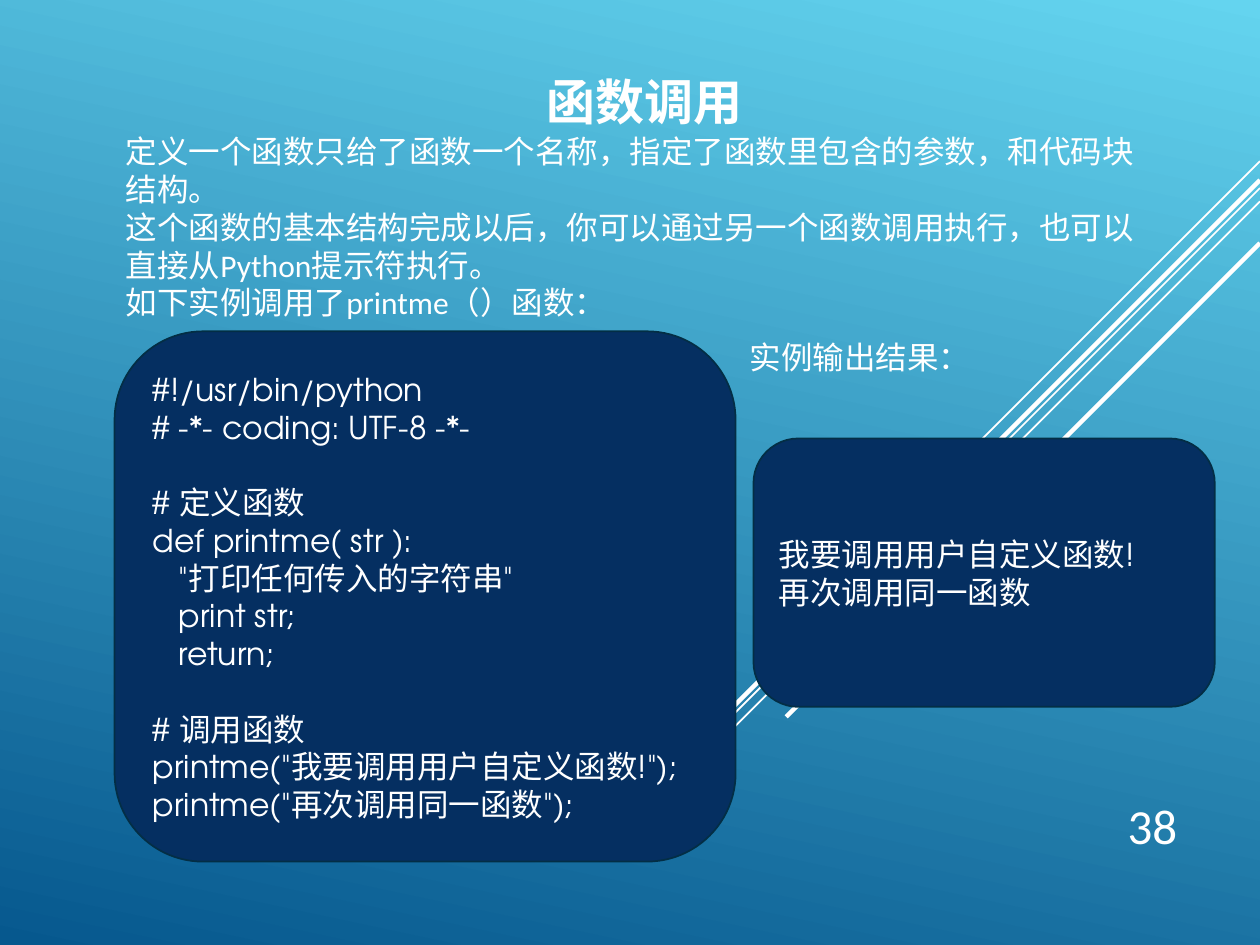
from lxml import etree
from pptx import Presentation
from pptx.dml.color import RGBColor
from pptx.enum.shapes import MSO_CONNECTOR, MSO_SHAPE
from pptx.enum.text import MSO_ANCHOR, MSO_AUTO_SIZE, PP_ALIGN
from pptx.oxml.ns import qn
from pptx.util import Cm, Pt

LEFT, CENTER, RIGHT = PP_ALIGN.LEFT, PP_ALIGN.CENTER, PP_ALIGN.RIGHT
TOP, MIDDLE, BOTTOM = MSO_ANCHOR.TOP, MSO_ANCHOR.MIDDLE, MSO_ANCHOR.BOTTOM
NO_AUTOFIT = MSO_AUTO_SIZE.NONE
STRAIGHT = MSO_CONNECTOR.STRAIGHT
ROUNDED = MSO_SHAPE.ROUNDED_RECTANGLE

COLORS = {
    "sky": "64D4EF",
    "deep": "06588E",
    "white": "FFFFFF",
    "panel": "052F61",
    "panel_edge": "032E45",
}
HEADING = {"name": "Calibri", "size": Pt(28), "bold": True}
BODY = {"name": "Calibri", "size": Pt(18), "bold": False}
PAGE = {"name": "Calibri", "size": Pt(28), "bold": False}
CODE = {"name": "TeX Gyre Adventor", "size": Pt(18), "bold": False}

SLIDE_WIDTH, SLIDE_HEIGHT = 25.4, 19.05
CODE_LINE = Pt(21.5)

INTRO = [
    "定义一个函数只给了函数一个名称，指定了函数里包含的参数，和代码块结构。",
    "这个函数的基本结构完成以后，你可以通过另一个函数调用执行，也可以直接从Python提示符执行。",
    "如下实例调用了printme（）函数：",
]
CODE_BLOCKS = [
    ["#!/usr/bin/python", "# -*- coding: UTF-8 -*-"],
    [
        "# 定义函数",
        "def printme( str ):",
        '   "打印任何传入的字符串"',
        "   print str;",
        "   return;",
    ],
    ["# 调用函数", 'printme("我要调用用户自定义函数!");', 'printme("再次调用同一函数");'],
]
OUTPUT = ["我要调用用户自定义函数!", "再次调用同一函数"]

# Drop on the right edge, length along each axis (cm), line width (pt)
STREAKS = [
    (3.25, 8.71, 1),
    (3.79, 13.36, 1),
    (4.06, 10.87, 1),
    (3.63, 10.67, 2.5),
    (4.90, 9.55, 2.5),
]


def color(key):
    return RGBColor.from_string(COLORS[key])


def write(frame, blocks, font, align=LEFT, anchor=TOP, wrap=True):
    """Fill a frame with blocks of lines, one empty line's height apart."""
    settings = {"word_wrap": wrap, "auto_size": NO_AUTOFIT, "vertical_anchor": anchor}
    for attribute, value in settings.items():
        setattr(frame, attribute, value)
    paragraph = None
    for block in blocks:
        for index, line in enumerate(block):
            is_first = paragraph is None
            paragraph = frame.paragraphs[0] if is_first else frame.add_paragraph()
            paragraph.alignment = align
            if index == 0 and not is_first:
                paragraph.space_before = CODE_LINE
            run = paragraph.add_run()
            run.text = line
            for attribute, value in font.items():
                setattr(run.font, attribute, value)
            run.font.color.rgb = color("white")


def add_text(slide, box, lines, font, **layout):
    text_box = slide.shapes.add_textbox(*map(Cm, box))
    write(text_box.text_frame, [lines], font, **layout)


def add_panel(slide, box, blocks):
    panel = slide.shapes.add_shape(ROUNDED, *map(Cm, box))
    panel.shadow.inherit = False
    panel.adjustments[0] = 0.167
    panel.fill.solid()
    panel.fill.fore_color.rgb = color("panel")
    panel.line.color.rgb = color("panel_edge")
    panel.line.width = Pt(1)
    write(panel.text_frame, blocks, CODE, anchor=MIDDLE)


def paint_background(slide):
    fill = slide.background.fill
    fill.gradient()
    fill.gradient_angle = 258
    for stop, key, position in zip(fill.gradient_stops, ("sky", "deep"), (0, 1)):
        stop.color.rgb = color(key)
        stop.position = position


def add_streaks(slide, right):
    """Draw the 45-degree lines running down and left from the right edge."""
    for top, span, width in STREAKS:
        ends = (right, top, right - span, top + span)
        streak = slide.shapes.add_connector(STRAIGHT, *map(Cm, ends))
        streak.line.color.rgb = color("white")
        streak.line.width = Pt(width)
        etree.SubElement(streak._element.spPr, qn("a:effectLst"))


def add_introduction(slide, box):
    left, top, width, height = box
    title_height = 1.22
    title = slide.shapes.title
    title_box = (left, top, width, title_height)
    for attribute, value in zip(("left", "top", "width", "height"), title_box):
        setattr(title, attribute, Cm(value))
    write(title.text_frame, [["函数调用"]], HEADING, align=CENTER)
    body_box = (left, top + title_height, width, height - title_height)
    add_text(slide, body_box, INTRO, BODY)


def add_result(slide, box):
    left, top, width, height = box
    panel_inset, panel_drop = 0.33, 2.16
    add_text(slide, (left, top, 4.95, 1.02), ["实例输出结果："], BODY, wrap=False)
    panel_box = (
        left + panel_inset,
        top + panel_drop,
        width - panel_inset,
        height - panel_drop,
    )
    add_panel(slide, panel_box, [OUTPUT])


def main():
    deck = Presentation()
    deck.slide_width, deck.slide_height = Cm(SLIDE_WIDTH), Cm(SLIDE_HEIGHT)
    slide = deck.slides.add_slide(deck.slide_layouts.get_by_name("Title Only"))
    paint_background(slide)
    add_streaks(slide, SLIDE_WIDTH)
    page_box = (21.59, 15.49, 2.39, 1.85)
    add_text(slide, page_box, ["38"], PAGE, align=RIGHT, anchor=BOTTOM)
    add_introduction(slide, (2.29, 1.32, 21.41, 5.26))
    add_panel(slide, (2.31, 6.68, 12.52, 10.69), CODE_BLOCKS)
    add_result(slide, (14.86, 6.68, 9.63, 7.57))
    deck.save("out.pptx")


if __name__ == "__main__":
    main()
